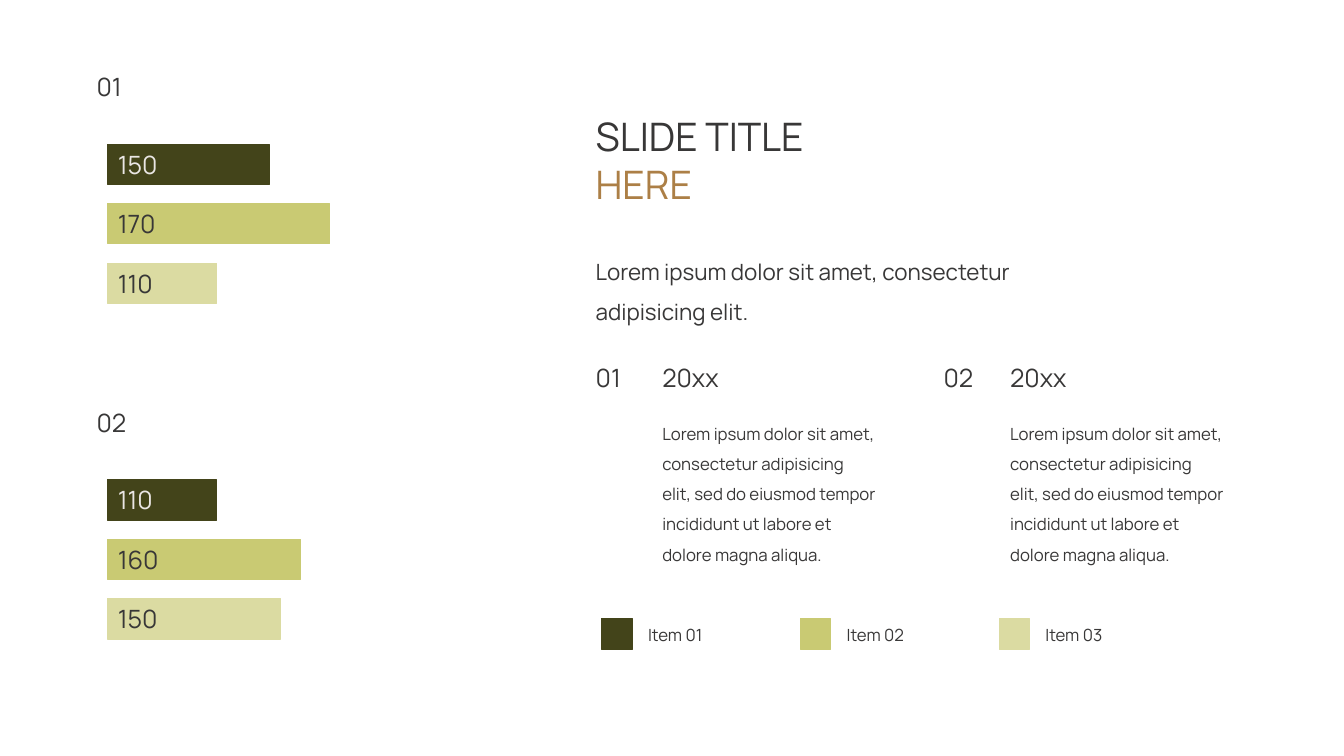
from pptx import Presentation
from pptx.dml.color import RGBColor
from pptx.enum.shapes import MSO_SHAPE
from pptx.enum.text import MSO_ANCHOR, MSO_AUTO_SIZE, PP_ALIGN
from pptx.util import Inches, Pt

FONT = "Manrope"
INK, ACCENT, PALE = "383737", "AC7F46", "EAE6E4"
SERIES = ["43441A", "C9CA73", "DBDBA2"]
BAR_INK = [PALE, INK, INK]
INTRO = "Lorem ipsum dolor sit amet, consectetur adipisicing elit."
BODY = ("Lorem ipsum dolor sit amet, consectetur adipisicing elit, "
        "sed do eiusmod tempor incididunt ut labore et dolore magna aliqua.")


def color(value):
    return RGBColor.from_string(value)


def add_run(p, text, size, ink=INK):
    r = p.add_run()
    r.text = text
    r.font.name = FONT
    r.font.size = Pt(size)
    r.font.color.rgb = color(ink)


def add_text(s, box, lines, size, spacing=None):
    tf = s.shapes.add_textbox(*map(Inches, box)).text_frame
    tf.word_wrap = True
    tf.auto_size = MSO_AUTO_SIZE.SHAPE_TO_FIT_TEXT
    for i, (text, ink) in enumerate(lines):
        p = tf.paragraphs[0] if i == 0 else tf.add_paragraph()
        if spacing:
            p.line_spacing = spacing
        add_run(p, text, size, ink)


def add_rect(s, box, fill):
    sp = s.shapes.add_shape(MSO_SHAPE.RECTANGLE, *map(Inches, box))
    sp.shadow.inherit = False
    sp.fill.solid()
    sp.fill.fore_color.rgb = color(fill)
    sp.line.color.rgb = color(fill)
    sp.line.width = Pt(0.75)
    return sp


def add_bar_group(s, left, top, label, bars):
    add_text(s, (left, top, 0.83, 0.4), [(label, INK)], 18)
    for i, (value, width) in enumerate(bars):
        box = (left + 0.21, top + 0.77 + i * 0.59, width, 0.4)
        tf = add_rect(s, box, SERIES[i]).text_frame
        tf.vertical_anchor = MSO_ANCHOR.MIDDLE
        p = tf.paragraphs[0]
        p.alignment = PP_ALIGN.LEFT
        add_run(p, value, 18, BAR_INK[i])


def add_heading(s, left, top, width):
    add_text(s, (left, top, width, 1.04),
             [("SLIDE TITLE", INK), ("HERE", ACCENT)], 28)
    add_text(s, (left, top + 1.31, width, 0.86), [(INTRO, INK)], 16, 1.5)


def add_year_column(s, left, top, number):
    add_text(s, (left, top, 0.83, 0.4), [(number, INK)], 18)
    add_text(s, (left + 0.66, top, 2.32, 0.4), [("20xx", INK)], 18)
    add_text(s, (left + 0.66, top + 0.5, 2.32, 1.58), [(BODY, INK)], 12, 1.5)


def add_legend(s, left, top, pitch):
    for i, fill in enumerate(SERIES):
        x = left + i * pitch
        add_rect(s, (x, top, 0.3, 0.3), fill)
        add_text(s, (x + 0.36, top + 0.01, 1.2, 0.3),
                 [(f"Item {i + 1:02}", INK)], 12)


prs = Presentation()
prs.slide_width, prs.slide_height = Inches(13.33), Inches(7.5)
s = prs.slides.add_slide(prs.slide_layouts[6])
s.background.fill.solid()
s.background.fill.fore_color.rgb = color("FFFFFF")

add_bar_group(s, 0.86, 0.66, "01", [("150", 1.6), ("170", 2.2), ("110", 1.08)])
add_bar_group(s, 0.86, 3.99, "02", [("110", 1.08), ("160", 1.91), ("150", 1.71)])
add_heading(s, 5.81, 1.07, 5.42)
add_year_column(s, 5.81, 3.55, "01")
add_year_column(s, 9.26, 3.55, "02")
add_legend(s, 5.97, 6.14, 1.97)

prs.save("out.pptx")
